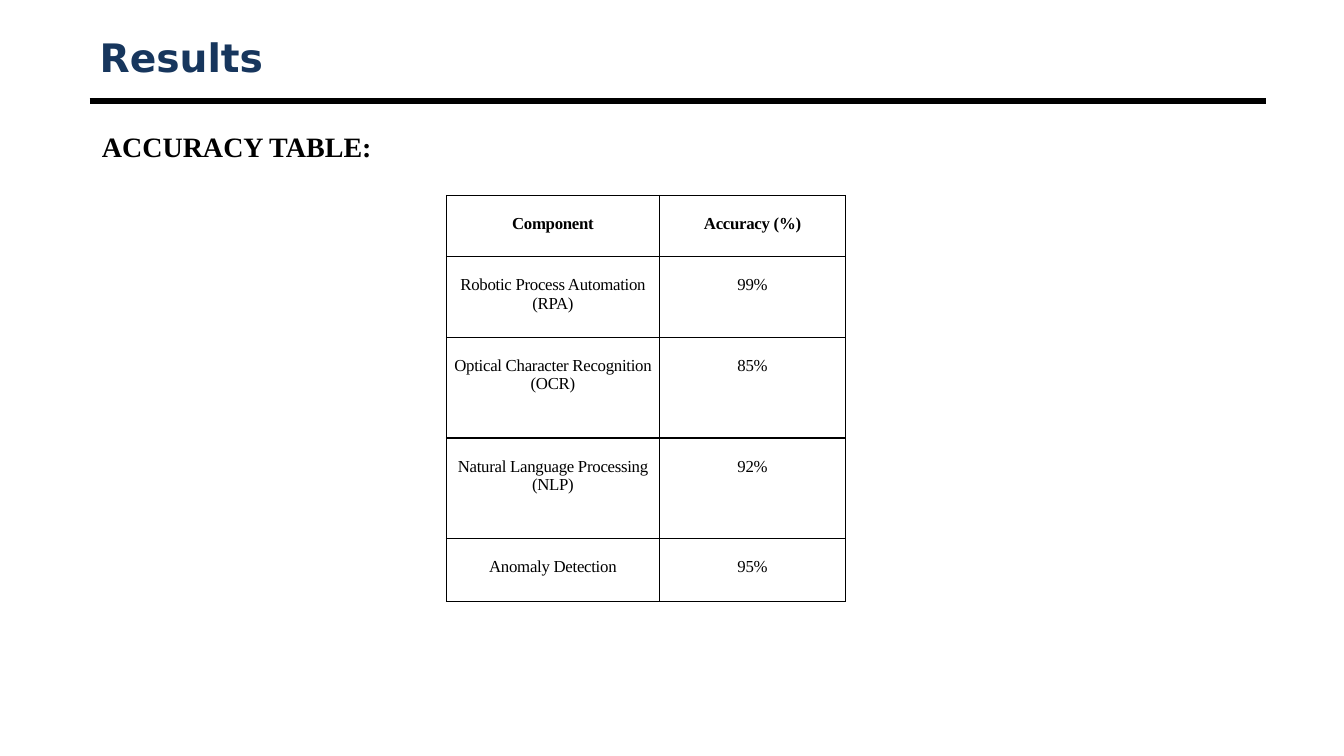
"""Build a results slide with a heading rule and an accuracy table."""
from dataclasses import dataclass

import pptx
import pptx.dml.color
import pptx.enum.shapes
import pptx.enum.text
import pptx.oxml
import pptx.oxml.ns
import pptx.presentation
import pptx.shapes.base
import pptx.slide
import pptx.table
import pptx.text.text
import pptx.util

SLIDE_WIDTH = pptx.util.Inches(13.333)
SLIDE_HEIGHT = pptx.util.Inches(7.5)
GRID_COLUMNS = 120
GRID_ROWS = 75


@dataclass(frozen=True)
class Theme:
    navy: str = "17365D"
    black: str = "000000"
    title_font: str = "DejaVu Sans"
    text_font: str = "Times New Roman"
    title_size: float = 28
    heading_size: float = 20
    cell_size: float = 12
    rule_width: float = 4.5
    border_width: float = 1


@dataclass(frozen=True)
class Area:
    column: float
    row: float
    columns: float
    rows: float


@dataclass(frozen=True)
class Style:
    font: str
    size: float
    color: str
    bold: bool = True
    spacing: float = 0


@dataclass(frozen=True)
class TableRow:
    component: str
    accuracy: str
    height: float
    bold: bool = False


THEME = Theme()
TITLE_AREA = Area(8, 3, 105, 5.3)
HEADING_AREA = Area(9, 12, 97.5, 7.4)
RULE_ROW = 10
TABLE_COLUMN, TABLE_TOP = 39.87, 19.4
TABLE_COLUMN_WIDTHS = (19, 16.65)
TABLE_ROWS = (
    TableRow("Component", "Accuracy (%)", 6.05, bold=True),
    TableRow("Robotic Process Automation (RPA)", "99%", 8),
    TableRow("Optical Character Recognition (OCR)", "85%", 10),
    TableRow("Natural Language Processing (NLP)", "92%", 10),
    TableRow("Anomaly Detection", "95%", 6.2),
)


def across(columns: float) -> int:
    return round(SLIDE_WIDTH * columns / GRID_COLUMNS)


def down(rows: float) -> int:
    return round(SLIDE_HEIGHT * rows / GRID_ROWS)


def format_text(frame: pptx.text.text.TextFrame, style: Style,
                alignment: pptx.enum.text.PP_ALIGN) -> None:
    for para in frame.paragraphs:
        para.alignment = alignment
        para.space_before = pptx.util.Pt(0)
        for span in para.runs:
            span.font.name = style.font
            span.font.size = pptx.util.Pt(style.size)
            span.font.bold = style.bold
            span.font.color.rgb = pptx.dml.color.RGBColor.from_string(style.color)
            if style.spacing:
                span.font._element.set("spc", str(round(style.spacing * 100)))


def fill_placeholder(box: pptx.shapes.base.BaseShape, area: Area, text: str, style: Style,
                     anchor: pptx.enum.text.MSO_ANCHOR) -> None:
    box.left, box.top = across(area.column), down(area.row)
    box.width, box.height = across(area.columns), down(area.rows)
    frame = box.text_frame
    frame.text = text
    frame.word_wrap = True
    frame.auto_size = pptx.enum.text.MSO_AUTO_SIZE.NONE
    frame.vertical_anchor = anchor
    format_text(frame, style, pptx.enum.text.PP_ALIGN.LEFT)


def add_heading(page: pptx.slide.Slide) -> None:
    box = page.placeholders[1]
    fill_placeholder(box, HEADING_AREA, "ACCURACY TABLE:",
                     Style(THEME.text_font, THEME.heading_size, THEME.black),
                     pptx.enum.text.MSO_ANCHOR.TOP)
    box.text_frame.margin_left = pptx.util.Inches(0.01)
    box.text_frame.margin_top = pptx.util.Inches(0.08)
    properties = box.text_frame.paragraphs[0]._p.get_or_add_pPr()
    properties.set("marL", "0")
    properties.set("indent", "0")
    pptx.oxml.ns.qn("a:buNone")
    properties.append(properties.makeelement(pptx.oxml.ns.qn("a:buNone"), {}))


def add_rule(page: pptx.slide.Slide) -> None:
    right = TITLE_AREA.column + TITLE_AREA.columns
    rule = page.shapes.add_connector(pptx.enum.shapes.MSO_CONNECTOR.STRAIGHT,
                                     across(TITLE_AREA.column), down(RULE_ROW),
                                     across(right), down(RULE_ROW))
    rule.line.color.rgb = pptx.dml.color.RGBColor.from_string(THEME.black)
    rule.line.width = pptx.util.Pt(THEME.rule_width)
    properties = rule._element.spPr
    properties.append(properties.makeelement(pptx.oxml.ns.qn("a:effectLst"), {}))


def add_borders(cell: pptx.table._Cell) -> None:
    namespace = pptx.oxml.ns.nsdecls("a")
    width = pptx.util.Pt(THEME.border_width)
    properties = cell._tc.get_or_add_tcPr()
    for side in ("lnL", "lnR", "lnT", "lnB"):
        properties.append(pptx.oxml.parse_xml(
            f'<a:{side} {namespace} w="{width}"><a:solidFill>'
            f'<a:srgbClr val="{THEME.black}"/></a:solidFill></a:{side}>'))


def fill_cell(cell: pptx.table._Cell, text: str, bold: bool) -> None:
    cell.margin_left = cell.margin_right = cell.margin_bottom = 0
    cell.margin_top = pptx.util.Inches(0.19)
    cell.vertical_anchor = pptx.enum.text.MSO_ANCHOR.TOP
    add_borders(cell)
    cell.fill.background()
    cell.text_frame.text = text
    format_text(cell.text_frame,
                Style(THEME.text_font, THEME.cell_size, THEME.black, bold, spacing=-0.2),
                pptx.enum.text.PP_ALIGN.CENTER)


def add_accuracy_table(page: pptx.slide.Slide) -> None:
    table = page.shapes.add_table(
        len(TABLE_ROWS), len(TABLE_COLUMN_WIDTHS), across(TABLE_COLUMN), down(TABLE_TOP),
        across(sum(TABLE_COLUMN_WIDTHS)), down(sum(row.height for row in TABLE_ROWS))).table
    table.first_row = False
    table.horz_banding = False
    for column, width in zip(table.columns, TABLE_COLUMN_WIDTHS):
        column.width = across(width)
    for table_row, row in zip(table.rows, TABLE_ROWS):
        table_row.height = down(row.height)
        for cell, text in zip(table_row.cells, (row.component, row.accuracy)):
            fill_cell(cell, text, row.bold)


def main() -> None:
    deck = pptx.Presentation()
    deck.slide_width, deck.slide_height = SLIDE_WIDTH, SLIDE_HEIGHT
    page = deck.slides.add_slide(deck.slide_layouts[1])
    add_rule(page)
    fill_placeholder(page.shapes.title, TITLE_AREA, "Results",
                     Style(THEME.title_font, THEME.title_size, THEME.navy),
                     pptx.enum.text.MSO_ANCHOR.MIDDLE)
    add_accuracy_table(page)
    add_heading(page)
    deck.save("out.pptx")


if __name__ == "__main__":
    main()
